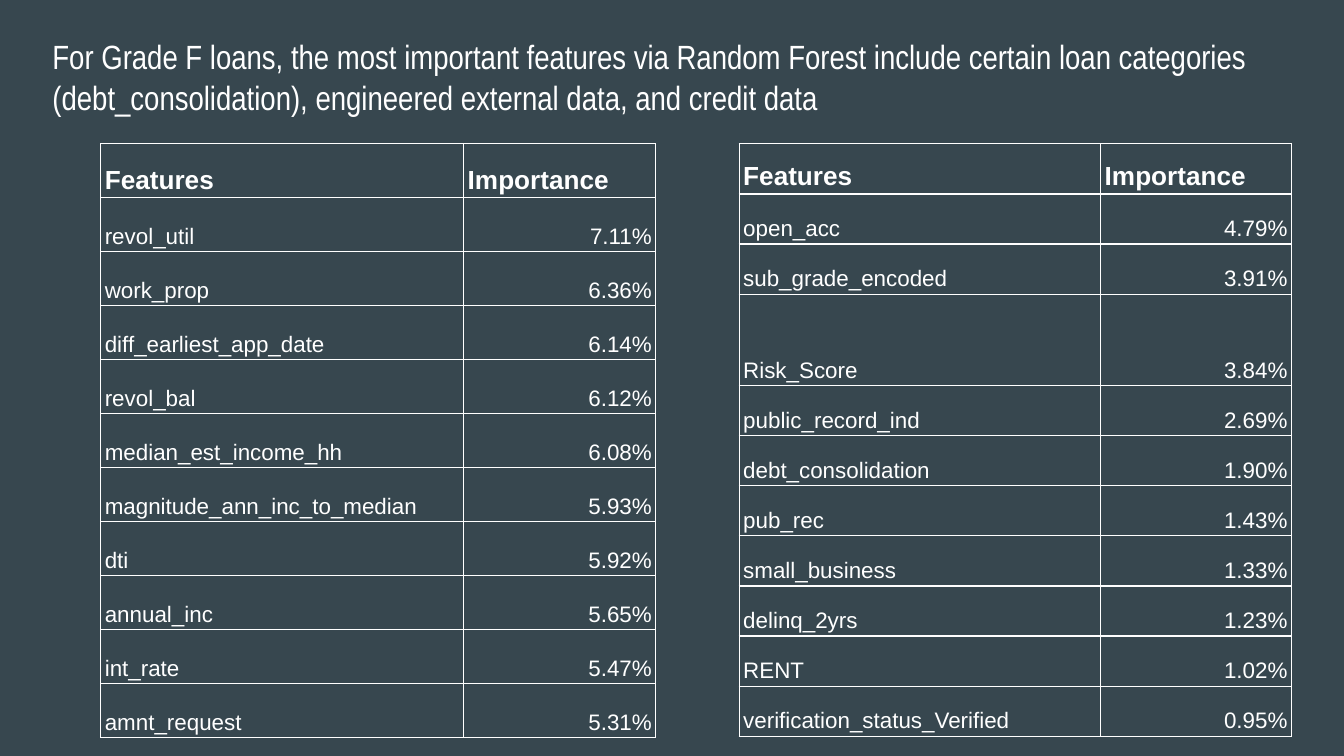
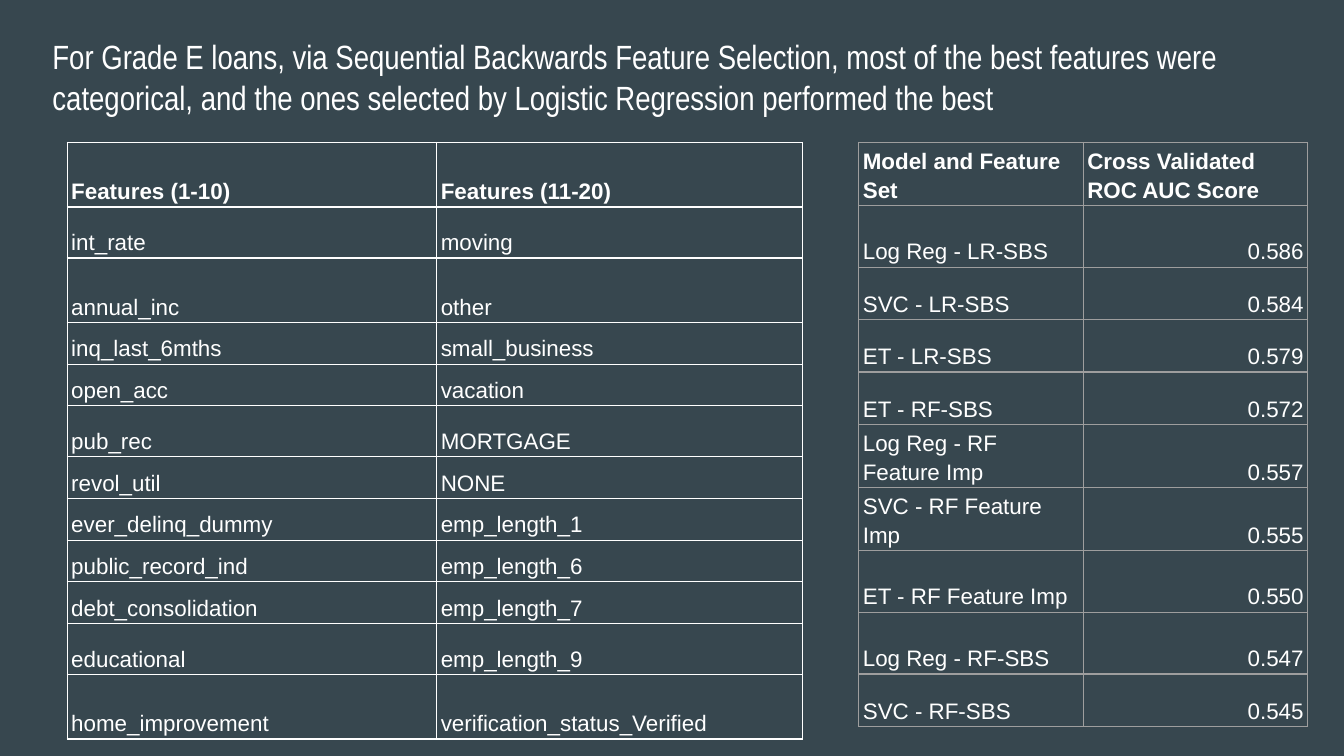
from lxml.etree import SubElement
from pptx import Presentation
from pptx.dml.color import RGBColor
from pptx.enum.text import MSO_ANCHOR, MSO_AUTO_SIZE, PP_ALIGN
from pptx.oxml.ns import qn
from pptx.util import Inches, Pt

THEME = {
    "background": RGBColor.from_string("37474F"),
    "text": RGBColor.from_string("FFFFFF"),
    "white_rule": "FFFFFF",
    "grey_rule": "9E9E9E",
    "rule_width": Pt(0.75),
    "title_font": {"name": "Arial Narrow", "size": Pt(18), "bold": False},
    "large_header_font": {"name": "Arial", "size": Pt(14), "bold": True},
    "header_font": {"name": "Arial", "size": Pt(12), "bold": True},
    "body_font": {"name": "Arial", "size": Pt(12), "bold": False},
}
TITLE_PLACE = {"left": Inches(0.29), "top": Inches(0.17),
               "width": Inches(9.32), "height": Inches(0.63)}
TITLE_FRAME = {"word_wrap": True, "auto_size": MSO_AUTO_SIZE.NONE,
               "vertical_anchor": MSO_ANCHOR.TOP,
               "margin_left": Inches(0.1), "margin_right": Inches(0.1),
               "margin_top": Inches(0.1), "margin_bottom": Inches(0.1)}
CELL_FORMAT = {"vertical_anchor": MSO_ANCHOR.BOTTOM,
               "margin_left": Inches(0.03), "margin_right": Inches(0.03),
               "margin_top": Inches(0.02), "margin_bottom": Inches(0.02)}
PLAIN_TABLE = {"first_row": False, "horz_banding": False}

SLIDES = [
    {
        "title": "For Grade F loans, the most important features via Random Forest include "
                 "certain loan categories (debt_consolidation), engineered external data, "
                 "and credit data",
        "tables": [
            {
                "at": (0.75, 1.07), "columns": (2.7, 1.43), "heights": [4.42 / 11] * 11,
                "header_font": "large_header_font", "rule": "white_rule", "numeric": True,
                "rows": [
                    ("Features", "Importance"),
                    ("revol_util", "7.11%"),
                    ("work_prop", "6.36%"),
                    ("diff_earliest_app_date", "6.14%"),
                    ("revol_bal", "6.12%"),
                    ("median_est_income_hh", "6.08%"),
                    ("magnitude_ann_inc_to_median", "5.93%"),
                    ("dti", "5.92%"),
                    ("annual_inc", "5.65%"),
                    ("int_rate", "5.47%"),
                    ("amnt_request", "5.31%"),
                ],
            },
            {
                "at": (5.5, 1.07), "columns": (2.69, 1.42),
                "heights": [3.73 / 10] * 3 + [0.68] + [3.73 / 10] * 7,
                "header_font": "large_header_font", "rule": "white_rule", "numeric": True,
                "rows": [
                    ("Features", "Importance"),
                    ("open_acc", "4.79%"),
                    ("sub_grade_encoded", "3.91%"),
                    ("Risk_Score", "3.84%"),
                    ("public_record_ind", "2.69%"),
                    ("debt_consolidation", "1.90%"),
                    ("pub_rec", "1.43%"),
                    ("small_business", "1.33%"),
                    ("delinq_2yrs", "1.23%"),
                    ("RENT", "1.02%"),
                    ("verification_status_Verified", "0.95%"),
                ],
            },
        ],
    },
    {
        "title": "For Grade E loans, via Sequential Backwards Feature Selection, most of the "
                 "best features were categorical, and the ones selected by Logistic "
                 "Regression performed the best",
        "tables": [
            {
                "at": (0.5, 1.06), "columns": (2.75, 2.72),
                "heights": [0.48, 0.38, 0.48, 0.31, 0.31, 0.38] + [0.31] * 4 + [0.38, 0.48],
                "header_font": "header_font", "rule": "white_rule", "numeric": False,
                "rows": [
                    ("Features (1-10)", "Features (11-20)"),
                    ("int_rate", "moving"),
                    ("annual_inc", "other"),
                    ("inq_last_6mths", "small_business"),
                    ("open_acc", "vacation"),
                    ("pub_rec", "MORTGAGE"),
                    ("revol_util", "NONE"),
                    ("ever_delinq_dummy", "emp_length_1"),
                    ("public_record_ind", "emp_length_6"),
                    ("debt_consolidation", "emp_length_7"),
                    ("educational", "emp_length_9"),
                    ("home_improvement", "verification_status_Verified"),
                ],
            },
            {
                "at": (6.39, 1.06), "columns": (1.67, 1.67),
                "heights": [0.46] * 2 + [0.39] * 3 + [0.46] * 4 + [0.39],
                "header_font": "header_font", "rule": "grey_rule", "numeric": True,
                "rows": [
                    ("Model and Feature Set", "Cross Validated ROC AUC Score"),
                    ("Log Reg - LR-SBS", "0.586"),
                    ("SVC - LR-SBS", "0.584"),
                    ("ET - LR-SBS", "0.579"),
                    ("ET - RF-SBS", "0.572"),
                    ("Log Reg - RF Feature Imp", "0.557"),
                    ("SVC - RF Feature Imp", "0.555"),
                    ("ET - RF Feature Imp", "0.550"),
                    ("Log Reg - RF-SBS", "0.547"),
                    ("SVC - RF-SBS", "0.545"),
                ],
            },
        ],
    },
]


def apply_format(target, values):
    for attribute, value in values.items():
        setattr(target, attribute, value)


def rule_cell(cell, color):
    """Draw all four borders; call before the cell fill, which must follow them in the XML."""
    properties = cell._tc.get_or_add_tcPr()
    for side in ("a:lnL", "a:lnR", "a:lnT", "a:lnB"):
        line = SubElement(properties, qn(side), w=str(THEME["rule_width"]))
        SubElement(SubElement(line, qn("a:solidFill")), qn("a:srgbClr"), val=color)


deck = Presentation()
deck.slide_width = Inches(10)
deck.slide_height = deck.slide_width * 9 // 16
master_fill = deck.slide_master.background.fill
master_fill.solid()
master_fill.fore_color.rgb = THEME["background"]
title_only = deck.slide_layouts[5]

for content in SLIDES:
    slide = deck.slides.add_slide(title_only)
    title = slide.shapes.title
    apply_format(title, TITLE_PLACE)
    apply_format(title.text_frame, TITLE_FRAME)
    title.text_frame.text = content["title"]
    headline = title.text_frame.paragraphs[0]
    headline.alignment = PP_ALIGN.LEFT
    headline_font = headline.runs[0].font
    apply_format(headline_font, THEME["title_font"])
    headline_font.color.rgb = THEME["text"]

    for features in content["tables"]:
        left, top = features["at"]
        grid = slide.shapes.add_table(
            len(features["rows"]), len(features["columns"]), Inches(left), Inches(top),
            Inches(sum(features["columns"])), Inches(sum(features["heights"]))).table
        apply_format(grid, PLAIN_TABLE)
        for column, width in zip(grid.columns, features["columns"]):
            column.width = Inches(width)
        for row, height in zip(grid.rows, features["heights"]):
            row.height = Inches(height)

        for row_index, entries in enumerate(features["rows"]):
            is_header = row_index == 0
            for column_index, entry in enumerate(entries):
                cell = grid.cell(row_index, column_index)
                apply_format(cell, CELL_FORMAT)
                rule_cell(cell, THEME[features["rule"]])
                cell.fill.background()
                cell.text = entry
                paragraph = cell.text_frame.paragraphs[0]
                paragraph.line_spacing = 1.15
                is_value = features["numeric"] and column_index == 1 and not is_header
                paragraph.alignment = PP_ALIGN.RIGHT if is_value else PP_ALIGN.LEFT
                font = paragraph.runs[0].font
                apply_format(font, THEME[features["header_font"] if is_header else "body_font"])
                font.color.rgb = THEME["text"]

deck.save("out.pptx")
